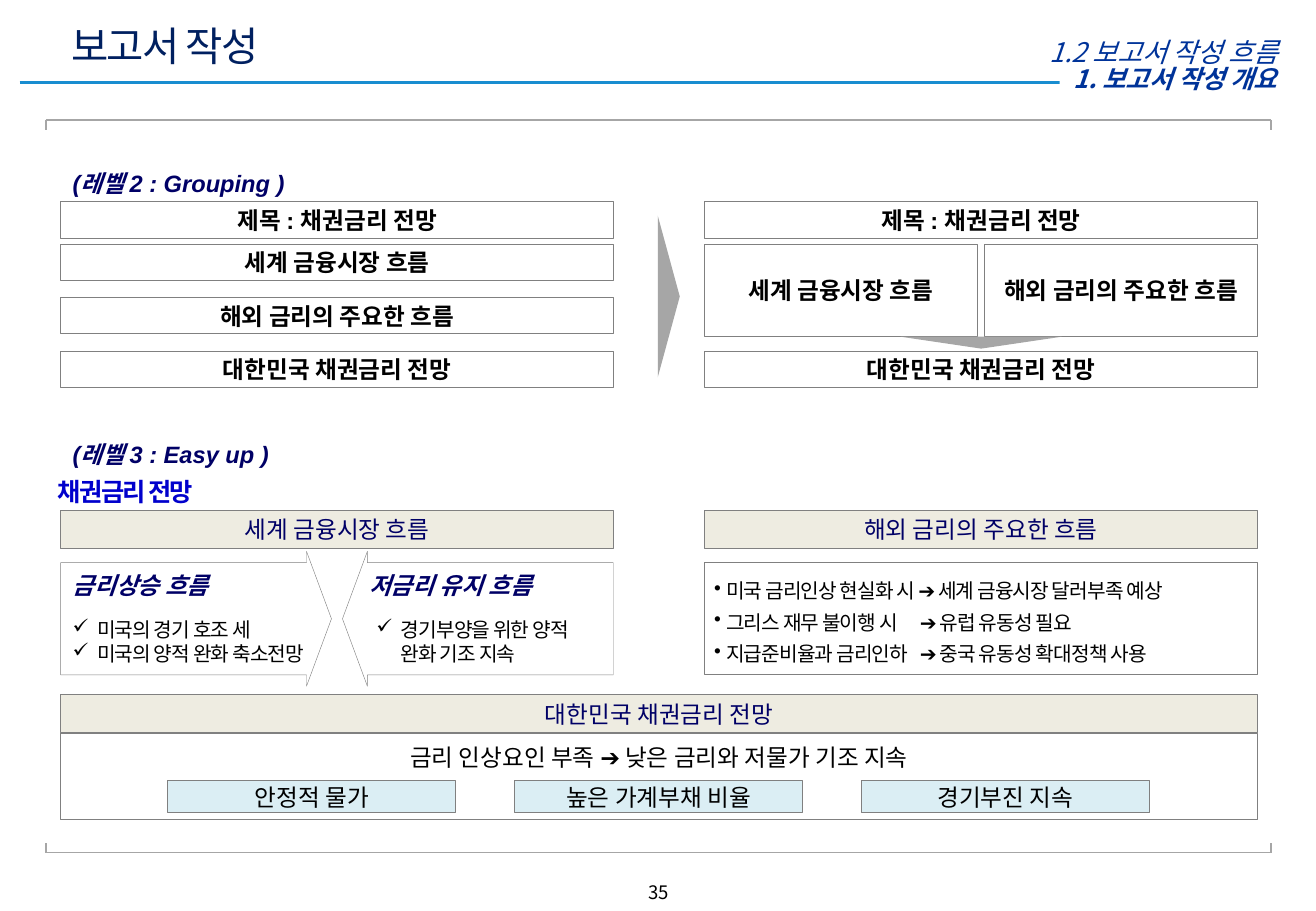
from dataclasses import dataclass
from lxml.etree import SubElement
from pptx import Presentation
from pptx.dml.color import RGBColor
from pptx.enum.shapes import MSO_CONNECTOR, MSO_SHAPE as Preset
from pptx.enum.text import MSO_ANCHOR as Anchor, PP_ALIGN as Align
from pptx.oxml.ns import qn
from pptx.slide import Slide
from pptx.util import Cm, Pt

WHITE = RGBColor(0xFF, 0xFF, 0xFF)
BLACK = RGBColor(0x00, 0x00, 0x00)
TITLE_NAVY = RGBColor(0x00, 0x20, 0x60)
HEADING_BLUE = RGBColor(0x00, 0x33, 0x99)
NAVY = RGBColor(0x00, 0x00, 0x66)
BRIGHT_BLUE = RGBColor(0x00, 0x00, 0xCC)
RULE_BLUE = RGBColor(0x18, 0x8D, 0xD0)
GRAY = RGBColor(0x80, 0x80, 0x80)
LIGHT_GRAY = RGBColor(0xA6, 0xA6, 0xA6)
BEIGE = RGBColor(0xEE, 0xEC, 0xE1)
PALE_BLUE = RGBColor(0xDB, 0xEE, 0xF4)

KOREAN = "Noto Sans CJK KR"
LATIN = "Arial"
LEFT, RIGHT = 1.27, 14.73
COLUMN, FULL = 11.56, 25.02
ROW, BAND = 0.76, 0.79


@dataclass
class TextStyle:
    size: float = 14
    color: RGBColor = BLACK
    font: str = KOREAN
    bold: bool = False
    italic: bool = False
    align: Align = Align.CENTER
    spacing: float = 0
    bullet: str = ""
    indent: float = 0
    tab: float = 0
    leading: float = 1


BODY = TextStyle()
ROW_TEXT = TextStyle(font=LATIN, bold=True)
BAND_TEXT = TextStyle(color=NAVY)
LEVEL = TextStyle(color=NAVY, font=LATIN, bold=True, italic=True, align=Align.LEFT)
CHECKS = TextStyle(12, font=LATIN, align=Align.LEFT, spacing=-0.5, bullet="✓", indent=0.51)
POINTS = TextStyle(12, align=Align.LEFT, spacing=-0.5, bullet="•", indent=0.25,
                   tab=4.3, leading=1.3)


@dataclass
class ReportSlide:
    slide: Slide
    border: RGBColor = GRAY

    def fill_text(self, frame, lines, style, anchor, insets, wrap):
        frame.word_wrap = wrap
        frame.vertical_anchor = anchor
        (frame.margin_left, frame.margin_top,
         frame.margin_right, frame.margin_bottom) = map(Cm, insets)
        for index, line in enumerate(lines):
            paragraph = frame.add_paragraph() if index else frame.paragraphs[0]
            paragraph.text = line
            paragraph.alignment = style.align
            paragraph.line_spacing = style.leading
            props = paragraph._p.get_or_add_pPr()
            if style.bullet:
                props.set("marL", str(Cm(style.indent)))
                props.set("indent", str(-Cm(style.indent)))
                SubElement(props, qn("a:buChar"), char=style.bullet)
            if style.tab:
                tabs = SubElement(props, qn("a:tabLst"))
                SubElement(tabs, qn("a:tab"), pos=str(Cm(style.tab)), algn="l")
            font = paragraph.font
            font.size, font.name = Pt(style.size), style.font
            font.bold, font.italic = style.bold, style.italic
            font.color.rgb = style.color
            defaults = props.find(qn("a:defRPr"))
            defaults.set("spc", str(round(style.spacing * 100)))
            SubElement(defaults, qn("a:ea"), typeface=KOREAN)

    def text(self, x, y, w, h, lines, style, anchor=Anchor.TOP, wrap=True):
        label = self.slide.shapes.add_textbox(Cm(x), Cm(y), Cm(w), Cm(h))
        self.fill_text(label.text_frame, lines, style, anchor, (0.25, 0.13, 0.25, 0.13), wrap)

    def shape(self, preset, x, y, w, h, fill=None, line=0.0, rotation=0):
        shape = self.slide.shapes.add_shape(preset, Cm(x), Cm(y), Cm(w), Cm(h))
        shape.shadow.inherit = False
        shape.rotation = rotation
        if fill is None:
            shape.fill.background()
        else:
            shape.fill.solid()
            shape.fill.fore_color.rgb = fill
        if line:
            shape.line.color.rgb = self.border
            shape.line.width = Pt(line)
        else:
            shape.line.fill.background()
        return shape

    def box(self, x, y, w, h, lines, style, fill=None, line=0.5, anchor=Anchor.MIDDLE,
            insets=(0.2, 0.13, 0.2, 0.13), wrap=True):
        box = self.shape(Preset.RECTANGLE, x, y, w, h, fill, line)
        self.fill_text(box.text_frame, lines, style, anchor, insets, wrap)

    def block_arrow(self, preset, x, y, w, h):
        arrow = self.shape(preset, x, y, w, h, line=0.25)
        arrow.adjustments[0] = 0.833
        arrow.adjustments[1] = 0.185

    def line(self, x1, y1, x2, y2, color=LIGHT_GRAY, width=0.75):
        line = self.slide.shapes.add_connector(
            MSO_CONNECTOR.STRAIGHT, Cm(x1), Cm(y1), Cm(x2), Cm(y2))
        line.line.color.rgb = color
        line.line.width = Pt(width)
        SubElement(line._element.spPr, qn("a:effectLst"))

    def bracket(self, y, tick):
        start, end = 0.96, 26.57
        self.line(start, y, end, y)
        for x in (start, end):
            self.line(x, y, x, y + tick)


def draw_header(page):
    page.line(0.41, 1.73, 26.9, 1.73, RULE_BLUE, 2)
    page.text(11.15, 18.29, 5.23, 0.64, ["35"], TextStyle(11))
    page.box(22.15, 1.32, 5, 0.64, ["1. 보고서 작성 개요"],
             TextStyle(15, HEADING_BLUE, bold=True, italic=True), WHITE, 0,
             insets=(0.1, 0.13, 0.25, 0.13), wrap=False)
    page.text(1.24, 0.48, 16.2, 0.94, ["보고서 작성"],
              TextStyle(24, TITLE_NAVY, align=Align.LEFT, spacing=-1), Anchor.MIDDLE, False)
    page.text(18.16, 0.61, 8.81, 0.76, ["1.2 보고서 작성 흐름"],
              TextStyle(16, HEADING_BLUE, italic=True, align=Align.RIGHT))
    page.bracket(2.51, 0.2)
    page.bracket(17.83, -0.2)


def draw_grouping(page):
    heading, world, rates, outlook = (
        "제목 : 채권금리 전망", "세계 금융시장 흐름", "해외 금리의 주요한 흐름", "대한민국 채권금리 전망")
    top, second, third, bottom = 4.22, 5.11, 6.22, 7.34
    page.text(LEFT, 3.4, 7.72, 0.79, ["(레벨 2 : Grouping )"], LEVEL)
    for y, label in zip((top, second, third, bottom), (heading, world, rates, outlook)):
        page.box(LEFT, y, COLUMN, ROW, [label], ROW_TEXT)
    for y, label in ((top, heading), (bottom, outlook)):
        page.box(RIGHT, y, COLUMN, ROW, [label], ROW_TEXT)
    for x, label in ((RIGHT, world), (20.59, rates)):
        page.box(x, second, 5.7, 1.93, [label], ROW_TEXT)
    page.shape(Preset.ISOSCELES_TRIANGLE, 18.82, 7.04, 3.38, 0.25, LIGHT_GRAY, rotation=180)
    page.shape(Preset.ISOSCELES_TRIANGLE, 12.29, 5.97, 3.38, 0.46, LIGHT_GRAY, rotation=90)


def draw_easy_up(page):
    page.text(LEFT, 9.07, 6.35, 0.79, ["(레벨 3 : Easy up )"], LEVEL)
    page.text(0.96, 9.83, 6.05, 0.99, ["채권금리 전망"],
              TextStyle(15, BRIGHT_BLUE, bold=True, align=Align.LEFT, spacing=-1))
    for x, y, width, label in ((LEFT, 10.67, COLUMN, "세계 금융시장 흐름"),
                               (RIGHT, 10.67, COLUMN, "해외 금리의 주요한 흐름"),
                               (LEFT, 14.53, FULL, "대한민국 채권금리 전망")):
        page.box(x, y, width, BAND, [label], BAND_TEXT, BEIGE)

    page.block_arrow(Preset.RIGHT_ARROW, LEFT, 11.53, 5.66, 2.82)
    page.block_arrow(Preset.LEFT_ARROW, 7.16, 11.53, 5.66, 2.82)
    for title_x, checks_x, width, title, checks in (
            (LEFT, LEFT, 5.84, "금리상승 흐름", ["미국의 경기 호조 세", "미국의 양적 완화 축소전망"]),
            (7.47, 7.62, 5.21, "저금리 유지 흐름", ["경기부양을 위한 양적\v완화 기조 지속"])):
        page.text(title_x, 11.81, 5.26, 0.79, [title], LEVEL)
        page.text(checks_x, 12.78, width, 1.37, checks, CHECKS)

    page.box(RIGHT, 11.76, COLUMN, 2.34, [
        "미국 금리인상 현실화 시 ➔ 세계 금융시장 달러부족 예상",
        "그리스 재무 불이행 시\t➔ 유럽 유동성 필요",
        "지급준비율과 금리인하\t➔ 중국 유동성 확대정책 사용"], POINTS)

    page.box(LEFT, 15.34, FULL, 1.8, ["금리 인상요인 부족 ➔ 낮은 금리와 저물가 기조 지속"], BODY,
             WHITE, anchor=Anchor.TOP, insets=(0.2, 0.2, 0.2, 0))
    for index, factor in enumerate(("안정적 물가", "높은 가계부채 비율", "경기부진 지속")):
        page.box(3.51 + 7.25 * index, 16.33, 6.02, 0.66, [factor], BODY, PALE_BLUE)


def main():
    deck = Presentation()
    deck.slide_width, deck.slide_height = Cm(27.51), Cm(19.05)
    page = ReportSlide(deck.slides.add_slide(deck.slide_layouts[6]))
    draw_header(page)
    draw_grouping(page)
    draw_easy_up(page)
    deck.save("out.pptx")


if __name__ == "__main__":
    main()
